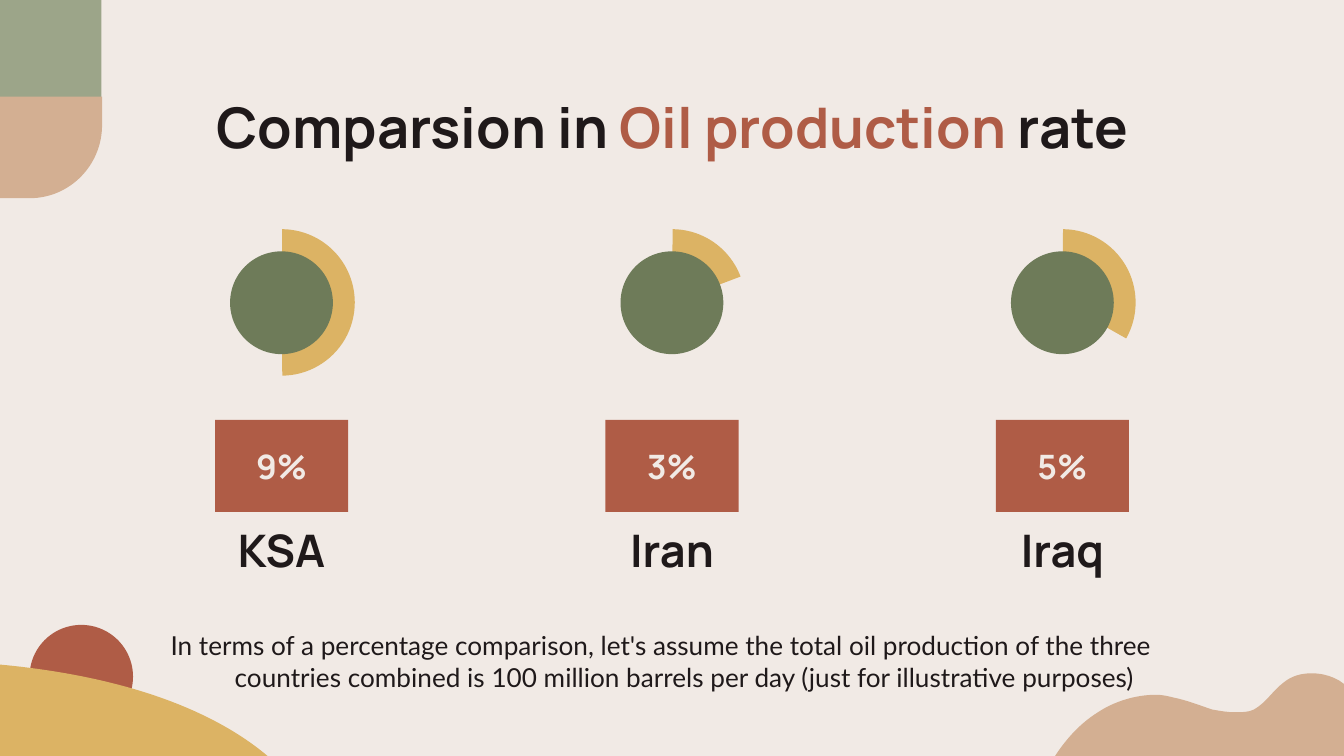
from pptx import Presentation
from pptx.dml.color import RGBColor as Color
from pptx.enum.shapes import MSO_SHAPE as Shape
from pptx.enum.text import MSO_ANCHOR as Anchor, PP_ALIGN as Align
from pptx.oxml.ns import qn
from pptx.util import Inches, Pt
from lxml.etree import SubElement

COLORS = {
    "paper": "F1EAE5", "ink": "1F191A", "rust": "AF5C46", "sand": "D3AF92",
    "sage": "9CA589", "olive": "6E7B59", "gold": "DCB364",
}
FORMATS = {
    "title": {"name": "Manrope", "size": Pt(30), "bold": True},
    "country": {"name": "Manrope", "size": Pt(24), "bold": True},
    "share": {"name": "Manrope", "size": Pt(18), "bold": True},
    "body": {"name": "Lato", "size": Pt(14), "bold": False},
}

deck = Presentation()
deck.slide_width, deck.slide_height = Inches(10), Inches(5.625)
col, row = deck.slide_width / 100, deck.slide_height / 56.25
page = deck.slides.add_slide(deck.slide_layouts[6])
page.background.fill.solid()
page.background.fill.fore_color.rgb = Color.from_string(COLORS["paper"])


def draw(kind, left, top, width, height, color=None):
    place = [int(left * col), int(top * row), int(width * col), int(height * row)]
    if kind is None:
        return page.shapes.add_textbox(*place)
    shape = page.shapes.add_shape(kind, *place)
    shape.shadow.inherit = False
    shape.fill.solid()
    shape.fill.fore_color.rgb = Color.from_string(COLORS[color])
    shape.line.fill.background()
    return shape


def write(box, style, anchor, spans):
    frame = box.text_frame
    settings = {"word_wrap": True, "vertical_anchor": anchor}
    for side in ("left", "right", "top", "bottom"):
        settings[f"margin_{side}"] = Inches(0.1)
    for name, value in settings.items():
        setattr(frame, name, value)
    para = frame.paragraphs[0]
    para.alignment = Align.CENTER
    for text, color in spans:
        span = para.add_run()
        span.text = text
        span.font.color.rgb = Color.from_string(COLORS[color])
        for name, value in FORMATS[style].items():
            setattr(span.font, name, value)
    return para


draw(Shape.RECTANGLE, 0, 0, 7.55, 7.6, "sage")
draw(Shape.OVAL, 2.2, 46.5, 7.7, 7.7, "rust")

outlines = [
    ("sand", (97.6, 50.1), [
        [(98.8, 50.1), (99.9, 50.6), (100.5, 51.4)],
        [(100.4, 56.8)],
        [(97.3, 56.8)],
        [(81.1, 56.9)],
        [(78.1, 56.9)],
        [(79, 55.4), (80.1, 54), (81.7, 53)],
        [(82.9, 52.2), (84.5, 51.7), (86, 51.7)],
        [(86.5, 51.7), (86.9, 51.8), (87.3, 51.9)],
        [(88.3, 52.1), (89.3, 52.5), (90.2, 52.8)],
        [(90.8, 52.9), (91.3, 53), (91.9, 53)],
        [(92.4, 53), (92.9, 53), (93.3, 52.8)],
        [(94.2, 52.3), (94.7, 51.4), (95.5, 50.8)],
        [(96.1, 50.3), (96.8, 50.1), (97.6, 50.1)],
    ]),
    ("sand", (2.2, 14.75), [
        [(5.2, 14.75), (7.6, 12.3), (7.6, 9.3)],
        [(7.6, 7.2)],
        [(0, 7.2)],
        [(0, 14.75)],
    ]),
    ("gold", (19.9, 56.25), [
        [(17, 53.8), (11.2, 50.5), (0, 49.45)],
        [(0, 56.25)],
    ]),
]
for color, start, segments in outlines:
    builder = page.shapes.build_freeform(int(start[0] * col), int(start[1] * row))
    knots = [segment[-1] for segment in segments]
    builder.add_line_segments([(int(x * col), int(y * row)) for x, y in knots], close=True)
    outline = builder.convert_to_shape()
    outline.shadow.inherit = False
    outline.fill.solid()
    outline.fill.fore_color.rgb = Color.from_string(COLORS[color])
    outline.line.fill.background()
    for edge, segment in zip(list(outline._element.iter(qn("a:lnTo"))), segments):
        if len(segment) == 3:
            edge.tag = qn("a:cubicBezTo")
            for point in list(edge):
                edge.remove(point)
            for x, y in segment:
                SubElement(edge, qn("a:pt"), x=str(int(x * col) - outline.left),
                           y=str(int(y * row) - outline.top))

title = draw(None, 7.9, 5.9, 84.25, 5.2)
write(title, "title", Anchor.TOP,
      [("Comparsion in ", "ink"), ("Oil production ", "rust"), ("rate", "ink")])

centers = [50 + 29.05 * step for step in (-1, 0, 1)]
for center, country in zip(centers, ("KSA", "Iran", "Iraq")):
    label = draw(None, center - 10.5, 38.7, 21, 5.2)
    write(label, "country", Anchor.BOTTOM, [(country, "ink")])
for center, share in zip(centers, ("9%", "3%", "5%")):
    badge = draw(Shape.RECTANGLE, center - 4.95, 31.25, 9.9, 6.85, "rust")
    write(badge, "share", Anchor.MIDDLE, [(share, "paper")])
for center, end_angle in zip(centers, (89.41, 339.34, 29.46)):
    pie = draw(Shape.PIE, center - 5.45, 17.05, 10.9, 10.9, "gold")
    for slot, angle in enumerate((270.5, end_angle)):
        pie.adjustments[slot] = angle * 0.6
    draw(Shape.OVAL, center - 3.83, 18.7, 7.65, 7.65, "olive")

note = draw(None, 8.9, 45.85, 79.1, 5.9)
para = write(note, "body", Anchor.TOP, [(
    "In terms of a percentage comparison, let's assume the total oil production of the three "
    "countries combined is 100 million barrels per day (just for illustrative purposes)", "ink")])
for name, value in {"marL": Inches(0.5), "indent": Inches(-0.35)}.items():
    para._p.get_or_add_pPr().set(name, str(value))

deck.save("out.pptx")
